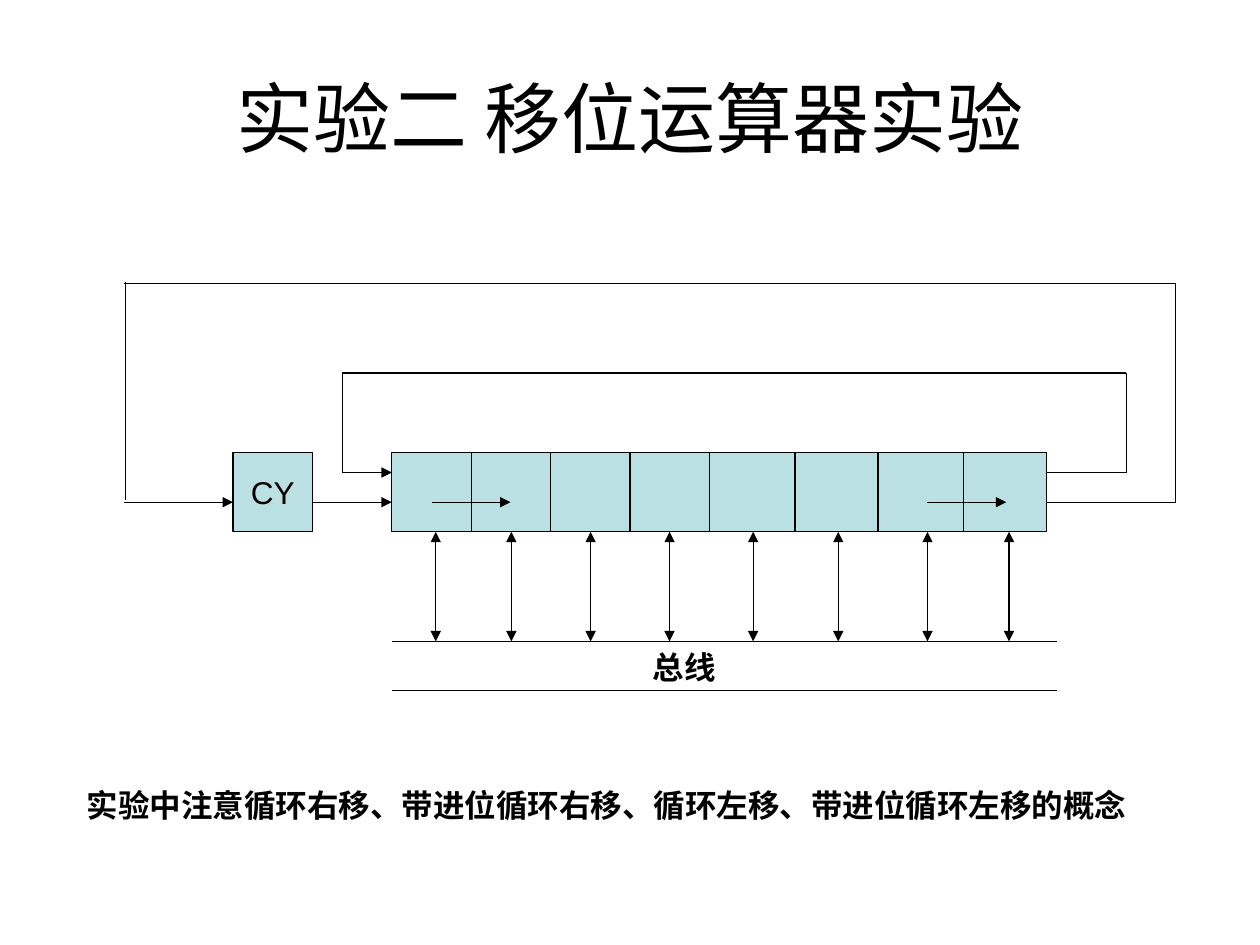
from itertools import pairwise

from lxml.etree import SubElement
from pptx import Presentation
from pptx.dml.color import RGBColor
from pptx.enum.shapes import MSO_CONNECTOR, MSO_SHAPE
from pptx.enum.text import MSO_ANCHOR, PP_ALIGN
from pptx.oxml.ns import qn
from pptx.util import Pt


def color(hex_string):
    return RGBColor.from_string(hex_string)


def write(shape, text, size=18, bold=False, align=PP_ALIGN.LEFT,
          anchor=MSO_ANCHOR.TOP, wrap=True, font="Arial", fill="000000"):
    frame = shape.text_frame
    frame.word_wrap = wrap
    frame.vertical_anchor = anchor
    paragraph = frame.paragraphs[0]
    paragraph.alignment = align
    run = paragraph.add_run()
    run.text = text
    run.font.name = font
    run.font.size = Pt(size)
    run.font.bold = bold
    run.font.color.rgb = color(fill)


class Diagram:
    ink = "000000"
    cell_fill = "BBE0E3"
    line_width = 0.75

    def __init__(self, slide):
        self.slide = slide

    def title(self, text, left, top, width, height):
        shape = self.slide.shapes.title
        shape.left, shape.top = Pt(left), Pt(top)
        shape.width, shape.height = Pt(width), Pt(height)
        write(shape, text, size=44, align=PP_ALIGN.CENTER, anchor=MSO_ANCHOR.MIDDLE)

    def box(self, left, top, width, height, text=None):
        shape = self.slide.shapes.add_shape(
            MSO_SHAPE.RECTANGLE, Pt(left), Pt(top), Pt(width), Pt(height))
        shape.shadow.inherit = False
        shape.fill.solid()
        shape.fill.fore_color.rgb = color(self.cell_fill)
        shape.line.color.rgb = color(self.ink)
        shape.line.width = Pt(self.line_width)
        if text:
            write(shape, text, align=PP_ALIGN.CENTER, anchor=MSO_ANCHOR.MIDDLE, wrap=False)

    def line(self, start, end, head=False, tail=False):
        connector = self.slide.shapes.add_connector(
            MSO_CONNECTOR.STRAIGHT, *(Pt(value) for value in (*start, *end)))
        connector.line.color.rgb = color(self.ink)
        connector.line.width = Pt(self.line_width)
        outline = connector.line._get_or_add_ln()
        for tag, wanted in (("a:headEnd", head), ("a:tailEnd", tail)):
            if wanted:
                SubElement(outline, qn(tag), type="triangle")
        SubElement(connector._element.spPr, qn("a:effectLst"))

    def route(self, *points, arrow=False):
        segments = list(pairwise(points))
        for number, (start, end) in enumerate(segments, 1):
            self.line(start, end, tail=arrow and number == len(segments))

    def label(self, text, left, top, width, height):
        shape = self.slide.shapes.add_textbox(Pt(left), Pt(top), Pt(width), Pt(height))
        write(shape, text, bold=True)


def main():
    presentation = Presentation()
    presentation.slide_width, presentation.slide_height = Pt(720), Pt(540)
    diagram = Diagram(presentation.slides.add_slide(presentation.slide_layouts[5]))
    diagram.title("实验二 移位运算器实验", 36, 21.6, 648, 90)

    # Shift register with its eight cells
    left, right = 223.9, 598.2
    cell = 45.4
    top = 258.5
    bottom = top + cell
    diagram.box(left, top, right - left, cell)
    for x in (269.3, 314.6, 360, 405.4, 454.3, 501.8, 550.8):
        diagram.line((x, top), (x, bottom))

    # Carry flag
    carry_left = 133.2
    diagram.box(carry_left, top, cell, cell, "CY")

    # Bus, joined to each cell
    bus_top, bus_bottom = 366.5, 394.6
    for y in (bus_top, bus_bottom):
        diagram.line((left, y), (604, y))
    diagram.label("总线", 365.8, bus_top, 73.4, 28.8)
    for x in (249, 292.2, 337.5, 382.6, 430.4, 479, 530, 576.6):
        diagram.line((x, bottom), (x, bus_top), head=True, tail=True)

    # Rotation through the carry flag
    carry_y, outer_top, outer_right = 287, 162.2, 671.8
    diagram.line((carry_left + cell, carry_y), (left, carry_y), tail=True)
    diagram.route((right, carry_y), (outer_right, carry_y),
                  (outer_right, outer_top), (71, outer_top))
    diagram.line((71.8, 285.6), (71.8, 161.3))
    diagram.line((71, carry_y), (carry_left, carry_y), tail=True)

    # Shift direction inside the register
    for x in (246.7, 530):
        diagram.line((x, carry_y), (x + 45, carry_y), tail=True)

    # Rotation without carry
    rotate_y, inner_top, inner_left, inner_right = 270, 213.2, 195.6, 643.6
    diagram.route((right, rotate_y), (inner_right, rotate_y), (inner_right, inner_top),
                  (inner_left, inner_top), (inner_left, rotate_y), (left, rotate_y),
                  arrow=True)

    # Note
    diagram.label("实验中注意循环右移、带进位循环右移、循环左移、带进位循环左移的概念",
                  42.5, 445.7, 617.8, 28.8)
    presentation.save("out.pptx")


if __name__ == "__main__":
    main()
